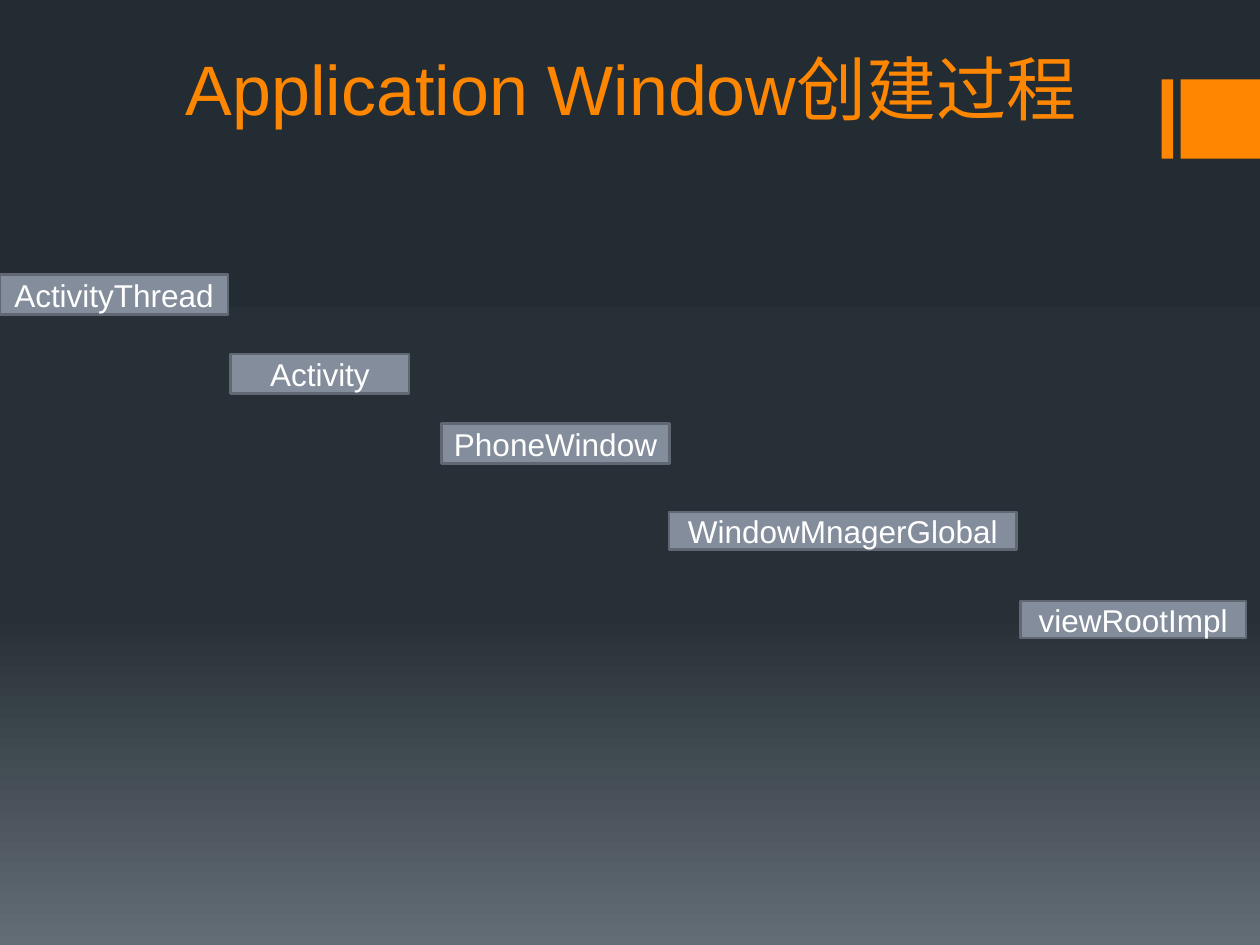
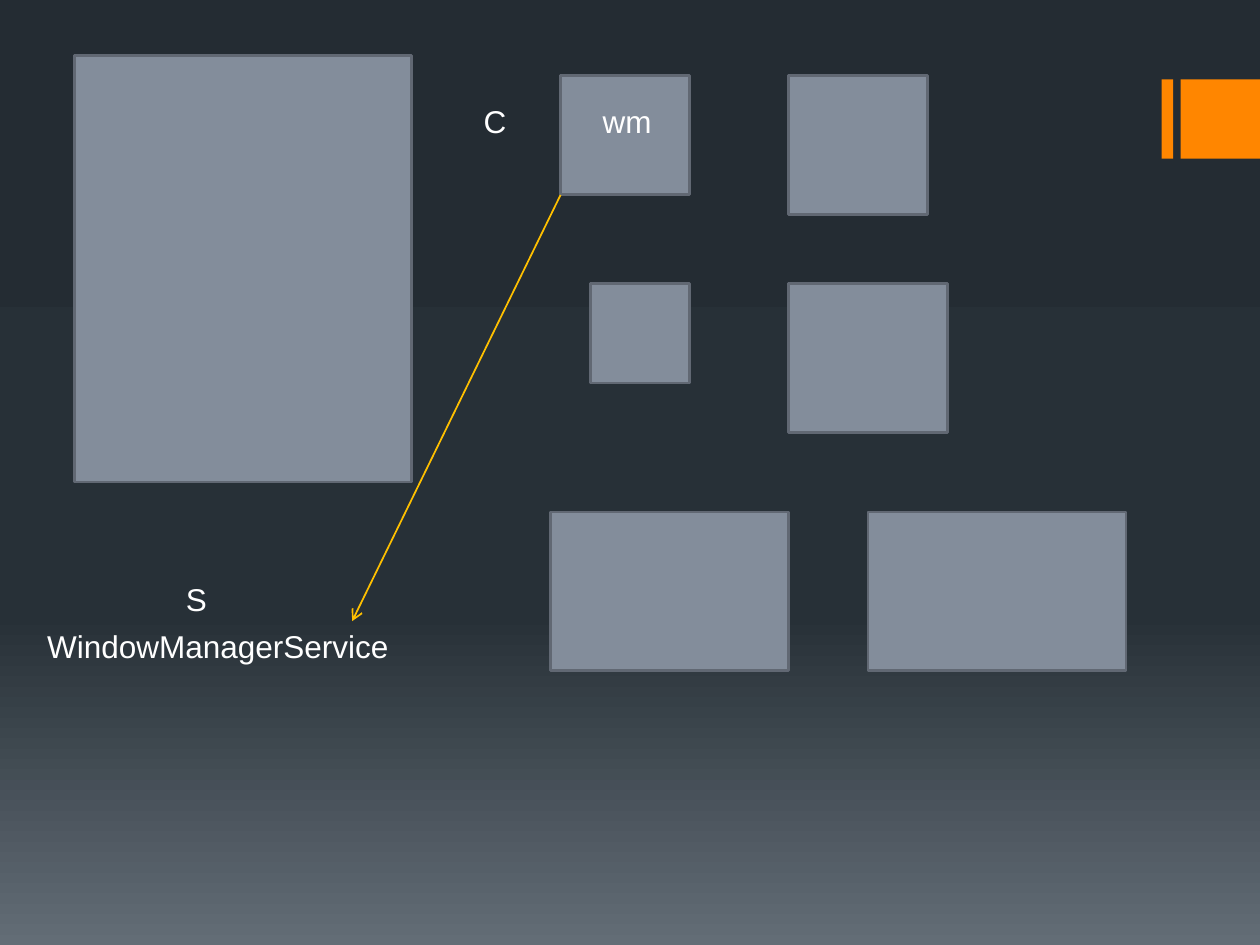
from copy import deepcopy
from dataclasses import dataclass

from lxml import etree
from pptx import Presentation
from pptx import util as u
from pptx.dml.color import RGBColor
from pptx.enum import shapes, text
from pptx.oxml.ns import qn

# Shared look
FONT = "Arial"
ORANGE, AMBER, WHITE = "FF8600", "FFC000", "FFFFFF"
BOX_FILL, BOX_LINE = "838D9B", "616873"
BACKDROP = [(0, "242C33"), (0.65, "273037"), (1, "636D76")]

# Grid: square cells, 25.4 columns by 19.05 rows on a 10 x 7.5 inch slide
WIDTH, HEIGHT = u.Inches(10), u.Inches(7.5)
COLS, ROWS = 25.4, 19.05


@dataclass
class Cell:
    """An area in grid columns and rows, with optional text."""
    col: float
    row: float
    cols: float
    rows: float
    label: str = ""


BARS = [Cell(23.42, 1.6, 0.23, 1.6), Cell(23.8, 1.6, 1.6, 1.6)]


def rgb(value: str) -> RGBColor:
    return RGBColor.from_string(value)


def x(cols: float) -> int:
    return round(WIDTH * cols / COLS)


def y(rows: float) -> int:
    return round(HEIGHT * rows / ROWS)


def area(c: Cell) -> tuple:
    return x(c.col), y(c.row), x(c.cols), y(c.rows)


def write(sp, label: str, size: float = 18, color: str = WHITE,
          align=text.PP_ALIGN.LEFT, anchor=text.MSO_ANCHOR.TOP) -> None:
    tf = sp.text_frame
    tf.word_wrap = False
    tf.vertical_anchor = anchor
    p = tf.paragraphs[0]
    p.alignment = align
    r = p.add_run()
    r.text = label
    r.font.name, r.font.size = FONT, u.Pt(size)
    r.font.color.rgb = rgb(color)


def add_box(s, c: Cell, fill: str = BOX_FILL, line: str = BOX_LINE) -> None:
    sp = s.shapes.add_shape(shapes.MSO_SHAPE.RECTANGLE, *area(c))
    sp.shadow.inherit = False
    sp.fill.solid()
    sp.fill.fore_color.rgb = rgb(fill)
    if line:
        sp.line.color.rgb = rgb(line)
        sp.line.width = u.Pt(1.5)
    else:
        sp.line.fill.background()
    if c.label:
        write(sp, c.label, align=text.PP_ALIGN.CENTER,
              anchor=text.MSO_ANCHOR.MIDDLE)


def add_text(s, c: Cell, **style) -> None:
    write(s.shapes.add_textbox(*area(c)), c.label, **style)


def add_arrow(s, start: tuple, end: tuple) -> None:
    cn = s.shapes.add_connector(shapes.MSO_CONNECTOR.STRAIGHT,
                                x(start[0]), y(start[1]), x(end[0]), y(end[1]))
    cn.line.color.rgb = rgb(AMBER)
    cn.line.width = u.Pt(1)
    etree.SubElement(cn.line._get_or_add_ln(), qn("a:tailEnd"), type="arrow")
    etree.SubElement(cn._element.spPr, qn("a:effectLst"))


def new_slide(prs):
    s = prs.slides.add_slide(prs.slide_layouts[6])
    # Vertical three-stop backdrop
    fill = s.background.fill
    fill.gradient()
    fill.gradient_angle = 270
    stops = fill.gradient_stops._gsLst
    stops.insert(1, deepcopy(stops[0]))
    for stop, (position, color) in zip(fill.gradient_stops, BACKDROP):
        stop.position = position
        stop.color.rgb = rgb(color)
    # Orange bars at the right edge
    for bar in BARS:
        add_box(s, bar, fill=ORANGE, line="")
    return s


prs = Presentation()
prs.slide_width, prs.slide_height = WIDTH, HEIGHT

# Slide 1: chain of classes that create the window
s = new_slide(prs)
add_text(s, Cell(3.5, 0.74, 20.32, 2, "Application Window创建过程"),
         size=40, color=ORANGE, anchor=text.MSO_ANCHOR.BOTTOM)
CHAIN = [
    Cell(0, 5.54, 4.6, 0.8, "ActivityThread"),
    Cell(4.65, 7.14, 3.6, 0.8, "Activity"),
    Cell(8.9, 8.54, 4.6, 0.8, "PhoneWindow"),
    Cell(13.49, 10.32, 7, 0.76, "WindowMnagerGlobal"),
    Cell(20.57, 12.12, 4.55, 0.74, "viewRootImpl"),
]
for link in CHAIN:
    add_box(s, link)

# Slide 2: client windows and the window service
s = new_slide(prs)
WINDOWS = [
    Cell(1.5, 1.12, 6.8, 8.6),
    Cell(11.3, 1.52, 2.6, 2.4),
    Cell(15.9, 1.52, 2.8, 2.8),
    Cell(11.9, 5.72, 2, 2),
    Cell(15.9, 5.72, 3.2, 3),
    Cell(11.1, 10.32, 4.8, 3.2),
    Cell(17.5, 10.32, 5.2, 3.2),
]
for window in WINDOWS:
    add_box(s, window)
add_text(s, Cell(0.7, 12.52, 8.8, 1.02, "WindowManagerService"))
add_text(s, Cell(11.9, 1.93, 1.6, 1.02, "wm"))
add_arrow(s, (11.3, 3.93), (7.1, 12.52))
add_text(s, Cell(9.5, 1.93, 1.8, 1.02, "C"))
add_text(s, Cell(3.5, 11.56, 1.8, 1.02, "S"))

prs.save("out.pptx")
